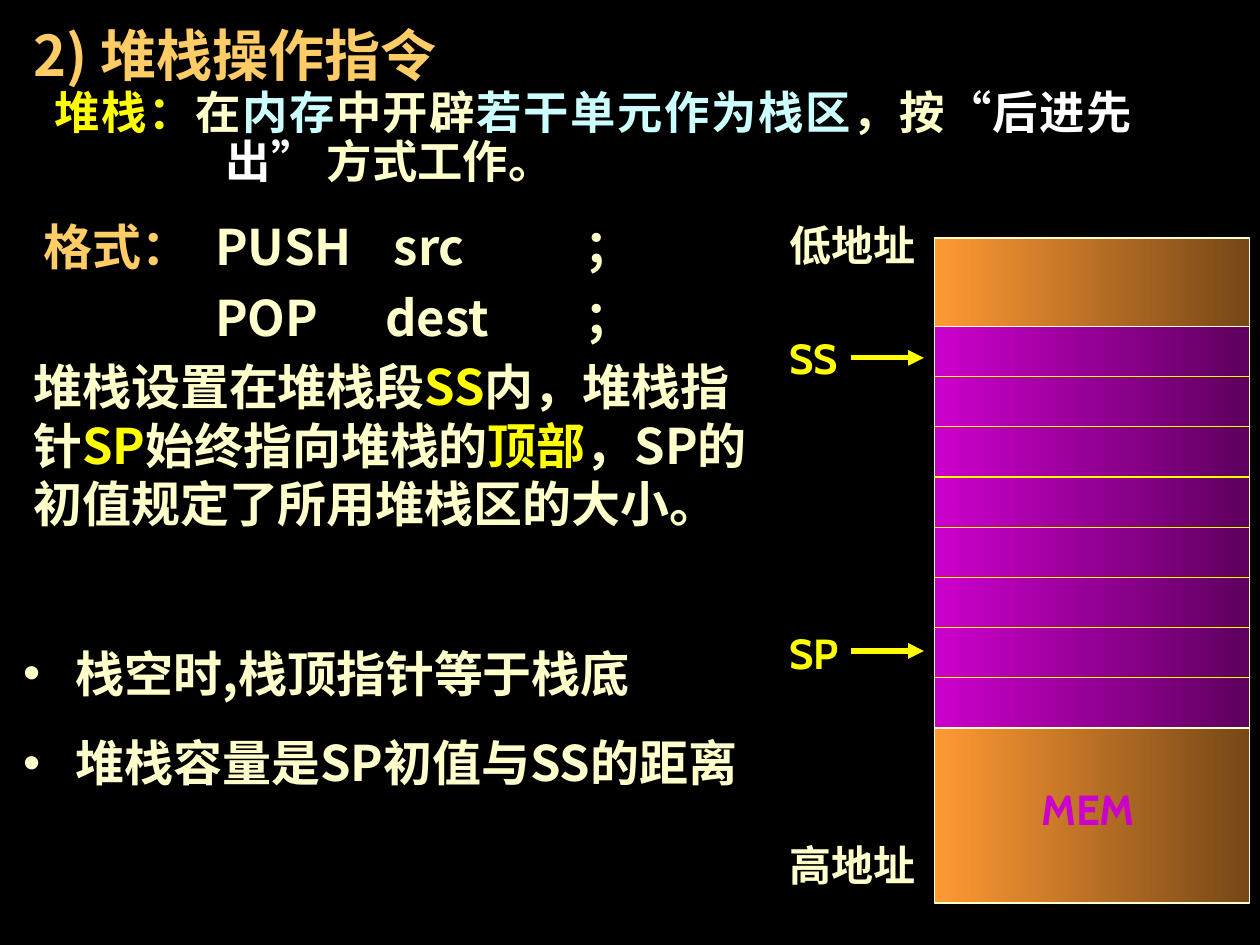
from lxml import etree
from pptx import Presentation
from pptx.dml.color import RGBColor
from pptx.enum import shapes, text
from pptx.oxml import ns
from pptx.util import Pt

ORANGE = RGBColor(0xFF, 0xCC, 0x66)
CREAM = RGBColor(0xFF, 0xFF, 0xCC)
YELLOW = RGBColor(0xFF, 0xFF, 0x00)
CYAN = RGBColor(0xCC, 0xFF, 0xFF)
WHITE = RGBColor(0xFF, 0xFF, 0xFF)
BLACK = RGBColor(0x00, 0x00, 0x00)
MAGENTA = RGBColor(0xCC, 0x00, 0xCC)
PURPLE = RGBColor(0x5E, 0x00, 0x5E)
AMBER = RGBColor(0xFF, 0x99, 0x33)
BROWN = RGBColor(0x76, 0x47, 0x18)

SC = "Noto Sans CJK SC"
JP = "Noto Sans CJK JP"
CABIN = "Cabin"

MEM_LEFT, MEM_WIDTH = 534, 180
STACK_TOP, STACK_HEIGHT, CELLS = 186.5, 229.5, 8


def sub(parent, tag, **attrs):
    return etree.SubElement(parent, ns.qn(tag), attrs)


def place(sp, left, top, width, height):
    sp.left, sp.top, sp.width, sp.height = map(Pt, (left, top, width, height))


def setup_frame(tf, anchor=text.MSO_ANCHOR.TOP):
    tf.word_wrap = True
    tf.auto_size = text.MSO_AUTO_SIZE.NONE
    tf.vertical_anchor = anchor
    return tf


def add_text_box(s, left, top, width, height):
    sp = s.shapes.add_textbox(*map(Pt, (left, top, width, height)))
    return setup_frame(sp.text_frame)


def add_run(p, words, size, color, font=SC):
    r = p.add_run()
    r.text = words
    r.font.size = Pt(size)
    r.font.bold = True
    r.font.color.rgb = color
    r.font.name = font
    sub(r._r.get_or_add_rPr(), "a:ea", typeface=SC if font == CABIN else font)


def add_runs(p, size, runs):
    for words, color in runs:
        add_run(p, words, size, color)


def set_indent(p, left, first):
    pPr = p._p.get_or_add_pPr()
    pPr.set("marL", str(Pt(left)))
    pPr.set("indent", str(Pt(first)))


def set_tabs(p, stops):
    tabs = sub(p._p.get_or_add_pPr(), "a:tabLst")
    for stop in stops:
        sub(tabs, "a:tab", pos=str(Pt(stop)), algn="l")


def set_bullet(p, color):
    pPr = p._p.get_or_add_pPr()
    sub(sub(pPr, "a:buClr"), "a:srgbClr", val=str(color))
    sub(pPr, "a:buFont", typeface="Arial")
    sub(pPr, "a:buChar", char="•")


def add_label(s, words, left, top, color):
    tf = add_text_box(s, left, top, 90, 36)
    add_run(tf.paragraphs[0], words, 24, color, CABIN)


def add_block(s, top, height, start, end):
    sp = s.shapes.add_shape(shapes.MSO_SHAPE.RECTANGLE,
                            *map(Pt, (MEM_LEFT, top, MEM_WIDTH, height)))
    sp.shadow.inherit = False
    sp.fill.gradient()
    sp.fill.gradient_angle = 0
    for stop, color in zip(sp.fill.gradient_stops, (start, end)):
        stop.color.rgb = color
    sp.line.color.rgb = CREAM
    sp.line.width = Pt(0.75)
    return sp


def add_line(s, left, right, y, color, width=0.75, arrow=False):
    line = s.shapes.add_connector(shapes.MSO_CONNECTOR.STRAIGHT,
                                  *map(Pt, (left, y, right, y)))
    line.line.color.rgb = color
    line.line.width = Pt(width)
    if arrow:
        sub(line.line._get_or_add_ln(), "a:tailEnd", type="triangle")
    sub(line._element.spPr, "a:effectLst")
    return line


def add_title(s):
    sp = s.shapes.title
    place(sp, 12, 6, 294, 48)
    p = setup_frame(sp.text_frame, text.MSO_ANCHOR.BOTTOM).paragraphs[0]
    p.alignment = text.PP_ALIGN.LEFT
    add_run(p, "2) 堆栈操作指令", 32, ORANGE)


def add_definition(s):
    p = add_text_box(s, 24, 48, 630, 72).paragraphs[0]
    p.alignment = text.PP_ALIGN.JUSTIFY
    p.line_spacing = 0.9
    set_indent(p, 98, -98)
    add_runs(p, 25.9, [
        ("堆栈：", YELLOW), ("在", CREAM), ("内存", CYAN), ("中开辟", CREAM),
        ("若干单元作为栈区", CYAN), ("，按", CREAM),
        ("“后进先出” ", WHITE), ("方式工作。", CREAM)])


def add_formats(s):
    tf = add_text_box(s, 18, 120, 444, 90)
    first, second = tf.paragraphs[0], tf.add_paragraph()
    second.space_before = Pt(7)
    set_tabs(first, (98, 200, 309))
    set_tabs(second, (98, 195, 309))
    add_run(first, "格式：", 28, ORANGE)
    add_run(first, "\tPUSH\tsrc\t；", 28, CREAM, JP)
    add_run(second, "\tPOP\tdest\t；", 28, CREAM, JP)


def add_explanation(s):
    p = add_text_box(s, 12, 200, 426, 142).paragraphs[0]
    add_runs(p, 28, [
        ("堆栈设置在堆栈段", CREAM), ("SS", YELLOW), ("内，堆栈指针", CREAM),
        ("SP", YELLOW), ("始终指向堆栈的", CREAM), ("顶部", YELLOW),
        ("，SP的初值规定了所用堆栈区的大小。", CREAM)])


def add_notes_list(s):
    sp = s.placeholders[1]
    place(sp, 6, 364, 426, 126)
    tf = setup_frame(sp.text_frame)
    lines = ("栈空时,栈顶指针等于栈底", "堆栈容量是SP初值与SS的距离")
    for i, words in enumerate(lines):
        p = tf.paragraphs[0] if i == 0 else tf.add_paragraph()
        p.space_before = Pt(17.5 if i else 0)
        set_indent(p, 18, -18)
        set_bullet(p, CREAM)
        set_tabs(p, (30,))
        add_run(p, "\t" + words, 28, CREAM)


def add_memory(s):
    right = MEM_LEFT + MEM_WIDTH
    add_block(s, 136, 380, AMBER, BROWN)
    stack = add_block(s, STACK_TOP, STACK_HEIGHT, MAGENTA, PURPLE)
    for i in range(1, CELLS):
        y = STACK_TOP + i * STACK_HEIGHT / CELLS
        line = add_line(s, MEM_LEFT, right, y, YELLOW)
        if i == CELLS // 2:
            line.begin_connect(stack, 1)
            line.end_connect(stack, 3)
    for words, left, top, color in (
            ("低地址", 444, 122, CREAM), ("高地址", 444, 476, CREAM),
            ("SS", 444, 186.5, YELLOW), ("SP", 444, 355, YELLOW),
            ("MEM", 588, 444, MAGENTA)):
        add_label(s, words, left, top, color)
    for y in (204.5, 372):
        add_line(s, 486, 528, y, YELLOW, 3, arrow=True)


def main():
    prs = Presentation()
    prs.slide_width, prs.slide_height = Pt(720), Pt(540)
    s = prs.slides.add_slide(prs.slide_layouts[1])
    s.background.fill.solid()
    s.background.fill.fore_color.rgb = BLACK
    add_title(s)
    add_definition(s)
    add_formats(s)
    add_memory(s)
    add_explanation(s)
    add_notes_list(s)
    prs.save("out.pptx")


if __name__ == "__main__":
    main()
